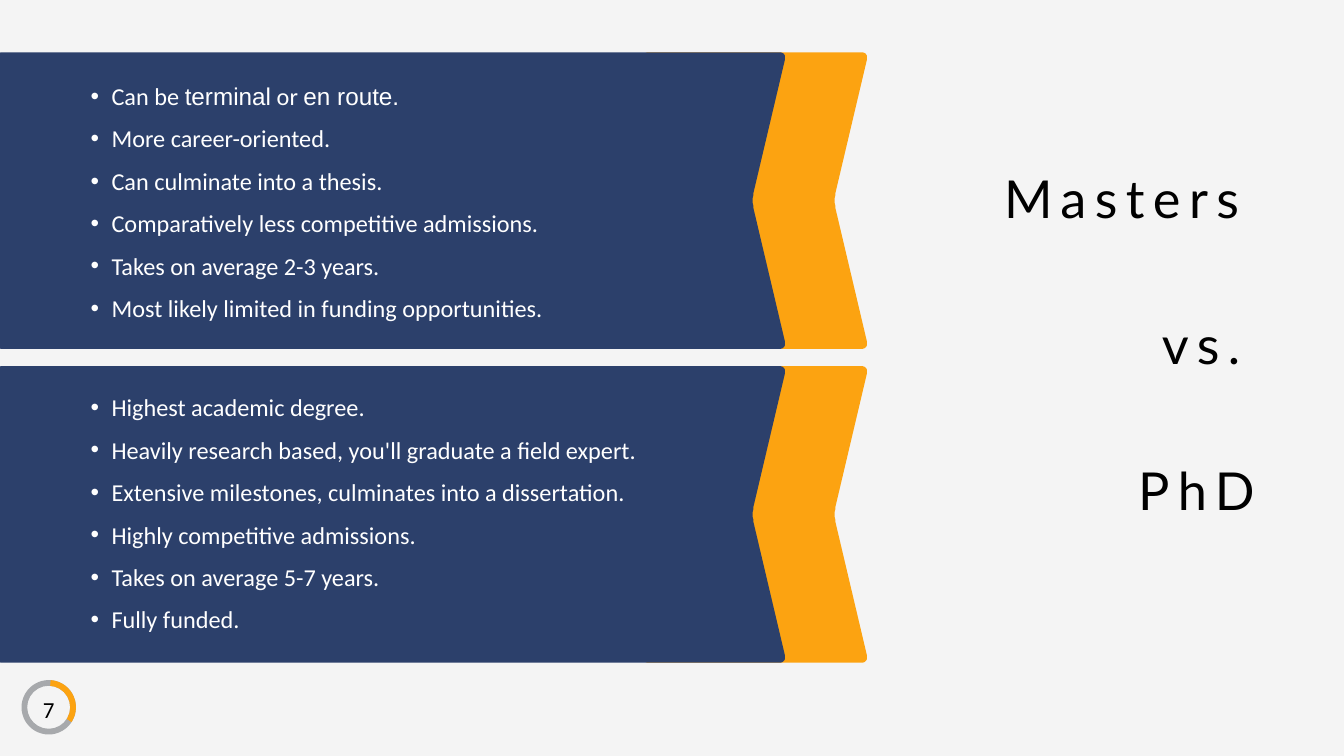
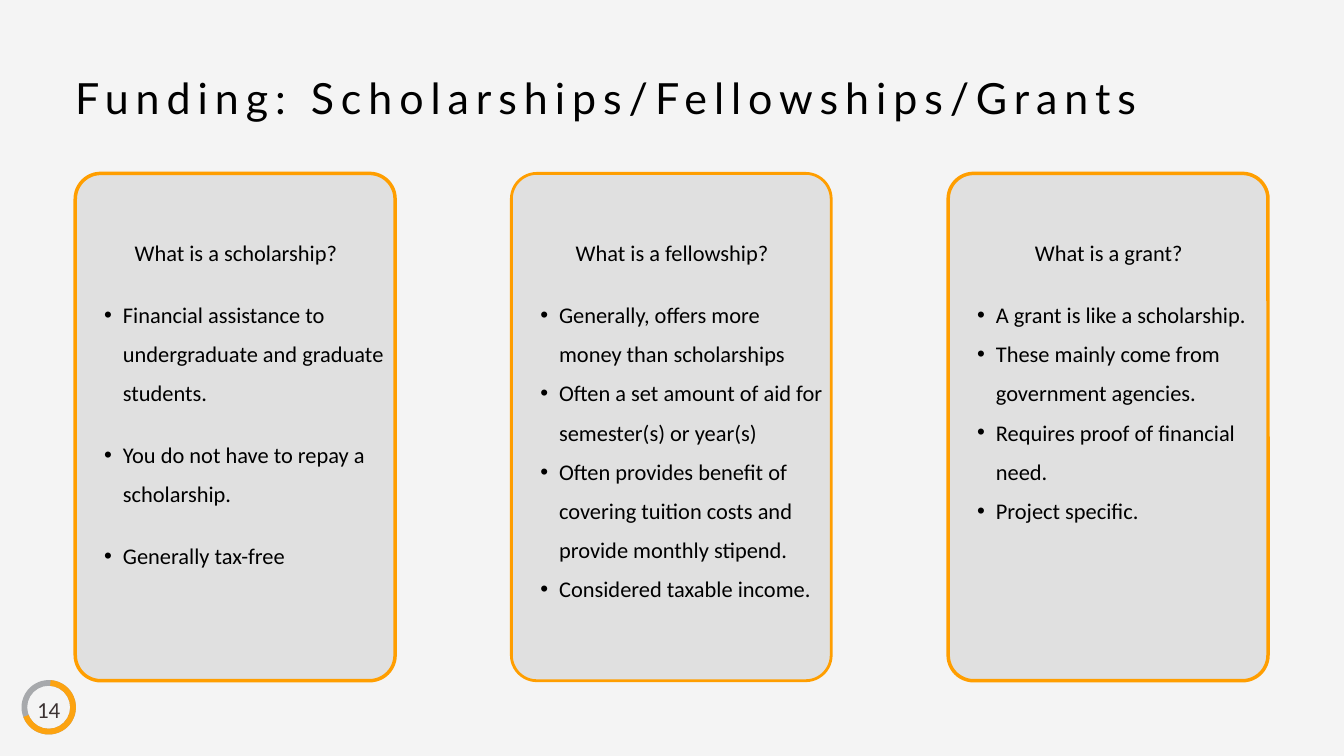
from dataclasses import dataclass

from lxml.etree import SubElement
from pptx import Presentation
from pptx.dml.color import RGBColor
from pptx.enum.shapes import MSO_SHAPE
from pptx.enum.text import PP_ALIGN
from pptx.oxml.ns import qn
from pptx.util import Pt
from math import hypot

PX = 9144  # 100 px to the inch


@dataclass(frozen=True)
class Theme:
    paper: str = "F4F4F4"
    navy: str = "2C406B"
    amber: str = "FCA311"
    card: str = "E0E0E0"
    card_edge: str = "FF9E00"
    ring: str = "A7A9AC"
    ink: str = "000000"
    soft_ink: str = "3C3333"
    white: str = "FFFFFF"
    heading_font: str = "Lato"
    body_font: str = "Calibri"
    accent_font: str = "Arial"
    versus_size: float = 56
    title_size: float = 46
    banner_size: float = 26
    card_size: float = 24
    number_size: float = 24.6


@dataclass(frozen=True)
class Style:
    size: float
    color: str
    font: str
    leading: float
    tracking: int = 0
    align: PP_ALIGN = PP_ALIGN.LEFT
    indent: int = 0
    hanging: int = 0


THEME = Theme()
VERSUS = Style(THEME.versus_size, THEME.ink, THEME.heading_font, 78.4, 910, PP_ALIGN.CENTER)
TITLE = Style(THEME.title_size, THEME.ink, THEME.heading_font, 64.4, 750)
BANNER_BULLET = Style(THEME.banner_size, THEME.white, THEME.body_font, 45.5, indent=61, hanging=31)
QUESTION = Style(THEME.card_size, THEME.ink, THEME.body_font, 42, align=PP_ALIGN.CENTER)
CARD_BULLET = Style(THEME.card_size, THEME.ink, THEME.body_font, 42, indent=57, hanging=28)

MASTERS = [
    [("Can be ", None), ("terminal", THEME.accent_font), (" or ", None),
     ("en route.", THEME.accent_font)],
    "More career-oriented.",
    "Can culminate into a thesis.",
    "Comparatively less competitive admissions.",
    "Takes on average 2-3 years.",
    "Most likely limited in funding opportunities.",
]
PHD = [
    "Highest academic degree.",
    "Heavily research based, you'll graduate a field expert.",
    "Extensive milestones, culminates into a dissertation.",
    "Highly competitive admissions.",
    "Takes on average 5-7 years.",
    "Fully funded.",
]
# question, bullets, gap between bullets, edge width
FUNDING = [
    ("What is a scholarship?",
     ["Financial assistance to undergraduate and graduate students.",
      "You do not have to repay a scholarship.",
      "Generally tax-free"], 24, 3.75),
    ("What is a fellowship?",
     ["Generally, offers more money than scholarships",
      "Often a set amount of aid for semester(s) or year(s)",
      "Often provides benefit of covering tuition costs and provide monthly stipend.",
      "Considered taxable income."], 0, 3),
    ("What is a grant?",
     ["A grant is like a scholarship.",
      "These mainly come from government agencies.",
      "Requires proof of financial need.",
      "Project specific."], 0, 3.75),
]


def rounded_outline(corners, cut=11, steps=6):
    """Replace each corner by a short curve that starts `cut` px before it."""
    def toward(start, end):
        share = cut / hypot(end[0] - start[0], end[1] - start[1])
        return [a + (b - a) * share for a, b in zip(start, end)]

    points = []
    for index, corner in enumerate(corners):
        enter = toward(corner, corners[index - 1])
        leave = toward(corner, corners[(index + 1) % len(corners)])
        for step in range(steps + 1):
            t = step / steps
            points.append(tuple(
                (1 - t) ** 2 * a + 2 * t * (1 - t) * b + t ** 2 * c
                for a, b, c in zip(enter, corner, leave)))
    return points


class DeckBuilder:
    def __init__(self, theme):
        self.theme = theme
        self.deck = Presentation()
        self.deck.slide_width = 2000 * PX
        self.deck.slide_height = 1125 * PX
        self.page = None

    def add_page(self):
        self.page = self.deck.slides.add_slide(self.deck.slide_layouts[6])
        fill = self.page.background.fill
        fill.solid()
        fill.fore_color.rgb = RGBColor.from_string(self.theme.paper)

    def paint(self, shape, color, edge=None, edge_width=0):
        shape.shadow.inherit = False
        shape.fill.solid()
        shape.fill.fore_color.rgb = RGBColor.from_string(color)
        if edge:
            shape.line.color.rgb = RGBColor.from_string(edge)
            shape.line.width = Pt(edge_width)
        else:
            shape.line.fill.background()

    def preset(self, kind, left, top, width, height, adjustments, *paint):
        shape = self.page.shapes.add_shape(
            kind, left * PX, top * PX, width * PX, height * PX)
        for index, value in enumerate(adjustments):
            shape.adjustments[index] = value
        self.paint(shape, *paint)

    def notched_band(self, left, right, top, color, height=441, notch=51):
        bottom = top + height
        points = rounded_outline([
            (left, top), (right, top), (right - notch, top + height / 2),
            (right, bottom), (left, bottom)])
        builder = self.page.shapes.build_freeform(*points[0], scale=PX)
        builder.add_line_segments(points[1:], close=True)
        self.paint(builder.convert_to_shape(), color)

    def text(self, left, top, width, height, lines):
        """Each line is (words or list of (words, font), style, space before)."""
        box = self.page.shapes.add_textbox(left * PX, top * PX, width * PX, height * PX)
        frame = box.text_frame
        frame.word_wrap = True
        frame.margin_left = frame.margin_right = frame.margin_top = frame.margin_bottom = 0
        for index, (words, style, gap) in enumerate(lines):
            para = frame.add_paragraph() if index else frame.paragraphs[0]
            self.format_paragraph(para, style, gap)
            spans = [(words, None)] if isinstance(words, str) else words
            for span_text, font in spans:
                span = para.add_run()
                span.text = span_text
                span.font.name = font or style.font
                span.font.size = Pt(style.size)
                span.font.color.rgb = RGBColor.from_string(style.color)
                if style.tracking:
                    span._r.get_or_add_rPr().set("spc", str(style.tracking))

    def format_paragraph(self, para, style, gap):
        para.alignment = style.align
        para.line_spacing = Pt(style.leading)
        if gap:
            para.space_before = Pt(gap)
        if style.indent:
            properties = para._p.get_or_add_pPr()
            properties.set("marL", str(style.indent * PX))
            properties.set("indent", str(-style.hanging * PX))
            SubElement(properties, qn("a:buFont")).set("typeface", "Arial")
            SubElement(properties, qn("a:buChar")).set("char", "•")

    def page_number(self, number, color):
        """Ring whose amber arc grows by 18 degrees a page."""
        ring = (32, 1012, 81, 81)
        self.preset(MSO_SHAPE.DONUT, *ring, [0.105], self.theme.ring)
        angles = [274, (267 + 18 * number) % 360]
        # angles count 60000 to the degree, adjustments 100000 to the unit
        self.preset(MSO_SHAPE.BLOCK_ARC, *ring,
                    [angle * 0.6 for angle in angles] + [0.105], self.theme.amber)
        style = Style(self.theme.number_size, color, self.theme.body_font, 34.4,
                      align=PP_ALIGN.CENTER)
        self.text(54, 1028, 37, 45, [(str(number), style, 0)])


def build_comparison(builder):
    builder.add_page()
    builder.page_number(7, THEME.ink)
    for top in (545, 78):
        builder.notched_band(955, 1292, top, THEME.amber)
        builder.notched_band(-7, 1170, top, THEME.navy)
    for top, width, height, bullets in ((101, 752, 367, MASTERS), (564, 913, 423, PHD)):
        builder.text(105, top, width, height,
                     [(bullet, BANNER_BULLET, 0) for bullet in bullets])
    for left, top, width, word in ((1484, 232, 403, "Masters "),
                                   (1689, 449, 199, " vs. "),
                                   (1673, 667, 215, "PhD")):
        builder.text(left, top, width, 116, [(word, VERSUS, 0)])


def build_funding(builder):
    builder.add_page()
    builder.page_number(14, THEME.soft_ink)
    builder.text(112, 94, 1880, 95, [("Funding: Scholarships/Fellowships/Grants", TITLE, 0)])
    for index, (question, bullets, gap, edge_width) in enumerate(FUNDING):
        left = 112 + index * 1299 // 2
        builder.preset(MSO_SHAPE.ROUNDED_RECTANGLE, left, 258, 476, 755, [0.08],
                       THEME.card, THEME.card_edge, edge_width)
        lines = [(question, QUESTION, 0)]
        lines += [(bullet, CARD_BULLET, gap if row else 24)
                  for row, bullet in enumerate(bullets)]
        builder.text(left + 14, 338, 450, 555, lines)


def main():
    builder = DeckBuilder(THEME)
    build_comparison(builder)
    build_funding(builder)
    builder.deck.save("out.pptx")


if __name__ == "__main__":
    main()
